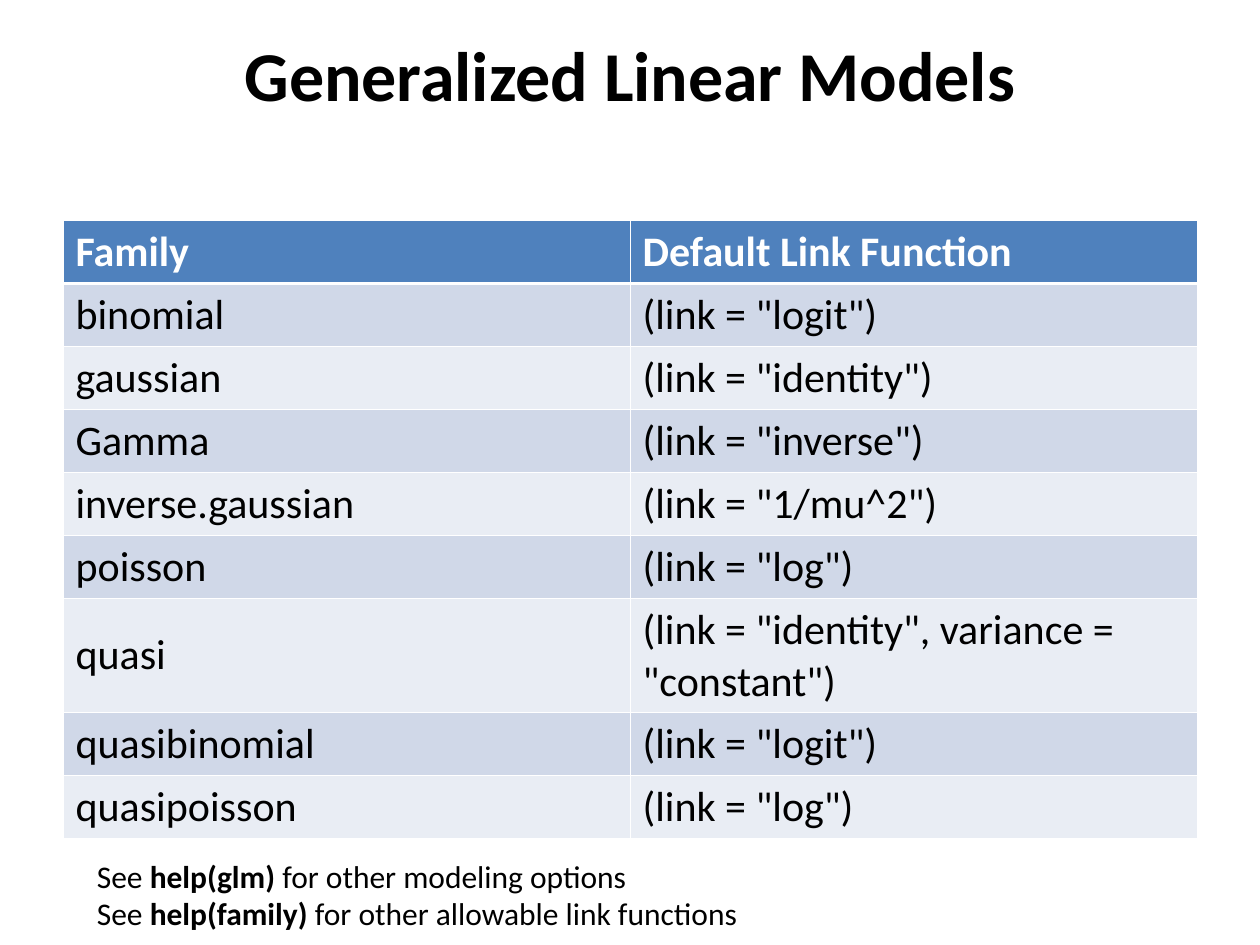
from lxml.etree import SubElement
from pptx import Presentation
from pptx.dml.color import RGBColor
from pptx.enum.text import MSO_ANCHOR, PP_ALIGN
from pptx.oxml.ns import qn
from pptx.util import Inches, Pt

FONT = "Calibri"
BLACK, WHITE, BLUE = "000000", "FFFFFF", "4F81BD"
BANDS = ("E9EDF4", "D0D8E8")
FAMILIES = [
    ("Family", "Default Link Function"),
    ("binomial", '(link = "logit")'),
    ("gaussian", '(link = "identity")'),
    ("Gamma", '(link = "inverse")'),
    ("inverse.gaussian", '(link = "1/mu^2")'),
    ("poisson", '(link = "log")'),
    ("quasi", '(link = "identity", variance = "constant")'),
    ("quasibinomial", '(link = "logit")'),
    ("quasipoisson", '(link = "log")'),
]
HELP_NOTES = [
    ("help(glm)", " for other modeling options"),
    ("help(family)", " for other allowable link functions"),
]


def rgb(color):
    """Turn a hex string into a colour."""
    return RGBColor.from_string(color)


def set_font(p, size, color=BLACK, bold=False):
    """Set the font of a whole paragraph."""
    p.font.name, p.font.size, p.font.bold = FONT, Pt(size), bold
    p.font.color.rgb = rgb(color)


def add_box(s, x, y, w, h):
    """Add a wrapping text box and return its text frame."""
    tf = s.shapes.add_textbox(Inches(x), Inches(y), Inches(w), Inches(h)).text_frame
    tf.word_wrap = True
    return tf


def add_title(s, x, y, w, h):
    """Place the centred slide title at the top of its box."""
    tf = add_box(s, x, y, w, h)
    tf.margin_top = 0
    p = tf.paragraphs[0]
    p.text = "Generalized Linear Models"
    p.alignment = PP_ALIGN.CENTER
    set_font(p, 40, bold=True)


def set_borders(cell, top, bottom):
    """Draw white cell borders with the given top and bottom widths."""
    tc_pr = cell._tc.get_or_add_tcPr()
    for side, width in (("L", 0.45), ("R", 0.45), ("T", top), ("B", bottom)):
        ln = SubElement(tc_pr, qn(f"a:ln{side}"), w=str(Pt(width)))
        fill = SubElement(ln, qn("a:solidFill"))
        SubElement(fill, qn("a:srgbClr"), val=WHITE)


def add_family_table(s, x, y, w, h):
    """Place the banded table of families and link functions."""
    table = s.shapes.add_table(
        len(FAMILIES), 2, Inches(x), Inches(y), Inches(w), Inches(h)
    ).table
    for i, values in enumerate(FAMILIES):
        header = i == 0
        table.rows[i].height = Inches(0.9 if values[0] == "quasi" else 0.5)
        for cell, value in zip(table.rows[i].cells, values):
            cell.text = value
            cell.vertical_anchor = MSO_ANCHOR.MIDDLE
            set_font(cell.text_frame.paragraphs[0], 24, WHITE if header else BLACK, header)
            set_borders(cell, 1.47 if i == 1 else 0.45, 1.47 if header else 0.45)
            cell.fill.solid()
            cell.fill.fore_color.rgb = rgb(BLUE if header else BANDS[i % 2])


def add_help_notes(s, x, y, w, h):
    """Place the help hints with their commands in bold."""
    tf = add_box(s, x, y, w, h)
    for i, (command, purpose) in enumerate(HELP_NOTES):
        p = tf.add_paragraph() if i else tf.paragraphs[0]
        set_font(p, 18)
        for text in ("See ", command, purpose):
            r = p.add_run()
            r.text = text
            r.font.bold = text == command


def main():
    """Build and save the slide."""
    prs = Presentation()
    prs.slide_width, prs.slide_height = Inches(10), Inches(7.5)
    s = prs.slides.add_slide(prs.slide_layouts[6])
    add_title(s, 0.5, 0.25, 9, 1.3)
    add_family_table(s, 0.5, 1.75, 9, 4.9)
    add_help_notes(s, 0.67, 6.75, 8.08, 0.7)
    prs.save("out.pptx")


if __name__ == "__main__":
    main()
